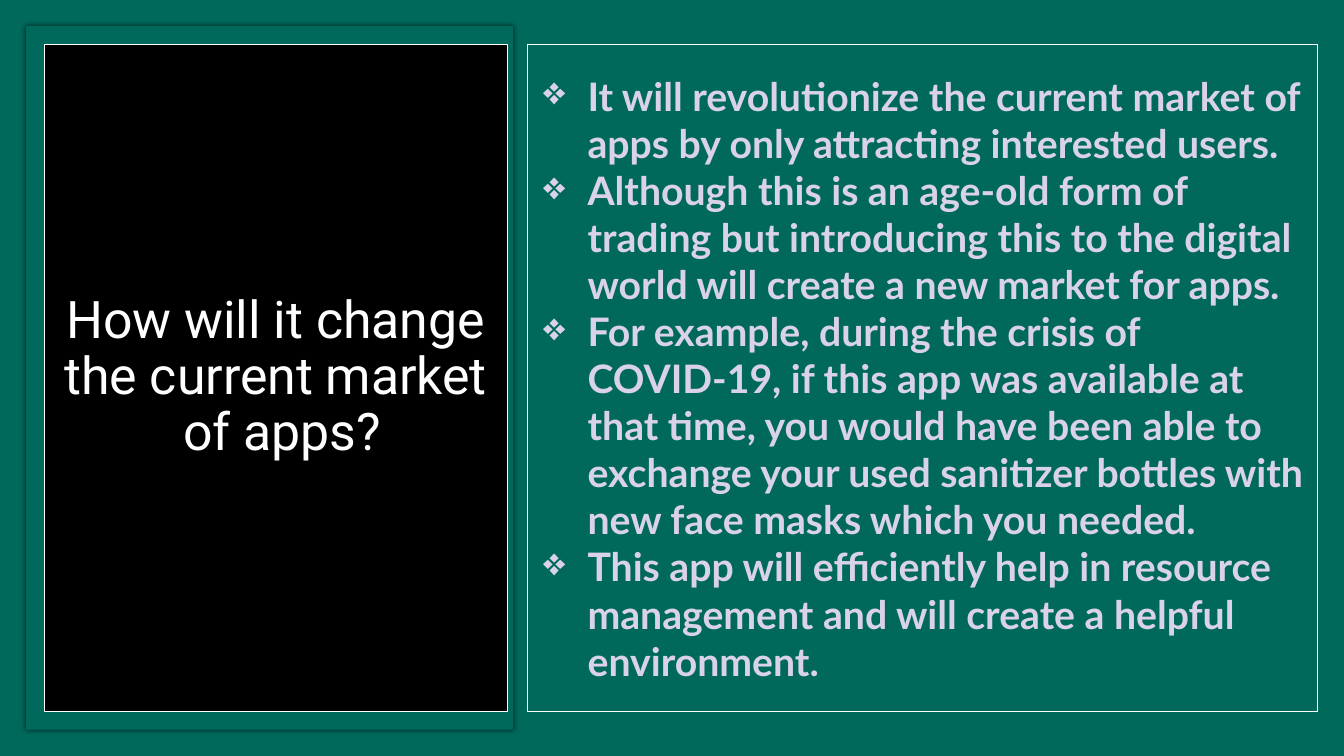
from dataclasses import dataclass
from typing import Optional

from lxml.etree import SubElement
from pptx import Presentation
from pptx.dml.color import RGBColor
from pptx.enum.shapes import MSO_SHAPE
from pptx.enum.text import MSO_ANCHOR, PP_ALIGN
from pptx.oxml.ns import qn
from pptx.util import Inches, Pt


@dataclass(frozen=True)
class Theme:
    green: str = "00695C"
    black: str = "000000"
    white: str = "FFFFFF"
    lavender: str = "D9D2E9"
    title_font: str = "Roboto"
    title_size: float = 37
    body_font: str = "Lato"
    body_size: float = 28
    border_width: float = 0.75


@dataclass(frozen=True)
class Panel:
    left: float
    top: float
    width: float
    height: float
    fill: Optional[str] = None
    line: Optional[str] = None


THEME = Theme()

BACKDROP = Panel(0.26, 0.26, 4.83, 6.98, fill=THEME.green)
TITLE_PANEL = Panel(0.44, 0.44, 4.59, 6.62, fill=THEME.black, line=THEME.white)
BODY_PANEL = Panel(5.23, 0.44, 7.84, 6.62, line=THEME.white)

TITLE_LINES = ["How will it change", "the current market", " of apps?"]
POINTS = [
    "It will revolutionize the current market of apps by only attracting "
    "interested users.",
    "Although this is an age-old form of trading but introducing this to the "
    "digital world will create a new market for apps.",
    "For example, during the crisis of COVID-19, if this app was available at "
    "that time, you would have been able to exchange your used sanitizer "
    "bottles with new face masks which you needed.",
    "This app will efficiently help in resource management and will create a "
    "helpful environment.",
]


def color(value: str) -> RGBColor:
    return RGBColor.from_string(value)


def add_panel(slide, panel: Panel):
    shape = slide.shapes.add_shape(
        MSO_SHAPE.RECTANGLE, Inches(panel.left), Inches(panel.top),
        Inches(panel.width), Inches(panel.height))
    shape.shadow.inherit = False
    if panel.fill:
        shape.fill.solid()
        shape.fill.fore_color.rgb = color(panel.fill)
    else:
        shape.fill.background()
    if panel.line:
        shape.line.color.rgb = color(panel.line)
        shape.line.width = Pt(THEME.border_width)
    else:
        shape.line.fill.background()
    return shape


def add_glow_shadow(shape) -> None:
    effects = shape.element.spPr.find(qn("a:effectLst"))
    shadow = SubElement(effects, qn("a:outerShdw"), blurRad=str(Pt(4)),
                        dist="0", dir="0", algn="ctr", rotWithShape="0")
    shade = SubElement(shadow, qn("a:srgbClr"), val=THEME.black)
    SubElement(shade, qn("a:alpha"), val="65000")


def add_paragraphs(shape, lines: list[str], font: str, size: float, ink: str,
                   alignment: PP_ALIGN, bold: bool = False) -> list:
    frame = shape.text_frame
    frame.word_wrap = True
    frame.vertical_anchor = MSO_ANCHOR.MIDDLE
    for index, line in enumerate(lines):
        paragraph = frame.add_paragraph() if index else frame.paragraphs[0]
        paragraph.alignment = alignment
        run = paragraph.add_run()
        run.text = line
        run.font.name = font
        run.font.size = Pt(size)
        run.font.bold = bold
        run.font.color.rgb = color(ink)
    return list(frame.paragraphs)


def add_bullet(paragraph, symbol: str, ink: str) -> None:
    properties = paragraph._p.get_or_add_pPr()
    properties.set("marL", str(Inches(0.5)))
    properties.set("indent", str(Inches(-0.44)))
    bullet_color = SubElement(properties, qn("a:buClr"))
    SubElement(bullet_color, qn("a:srgbClr"), val=ink)
    SubElement(properties, qn("a:buChar"), char=symbol)


def main() -> None:
    presentation = Presentation()
    presentation.slide_width = Inches(13.33)
    presentation.slide_height = Inches(7.5)
    slide = presentation.slides.add_slide(presentation.slide_layouts[6])
    slide.background.fill.solid()
    slide.background.fill.fore_color.rgb = color(THEME.green)

    # Title panel on its shadowed backdrop
    add_glow_shadow(add_panel(slide, BACKDROP))
    title = add_panel(slide, TITLE_PANEL)
    for paragraph in add_paragraphs(title, TITLE_LINES, THEME.title_font,
                                    THEME.title_size, THEME.white,
                                    PP_ALIGN.CENTER):
        paragraph.line_spacing = 0.9

    # Bulleted points
    body = add_panel(slide, BODY_PANEL)
    for paragraph in add_paragraphs(body, POINTS, THEME.body_font,
                                    THEME.body_size, THEME.lavender,
                                    PP_ALIGN.LEFT, bold=True):
        add_bullet(paragraph, "❖", THEME.lavender)

    presentation.save("out.pptx")


if __name__ == "__main__":
    main()
